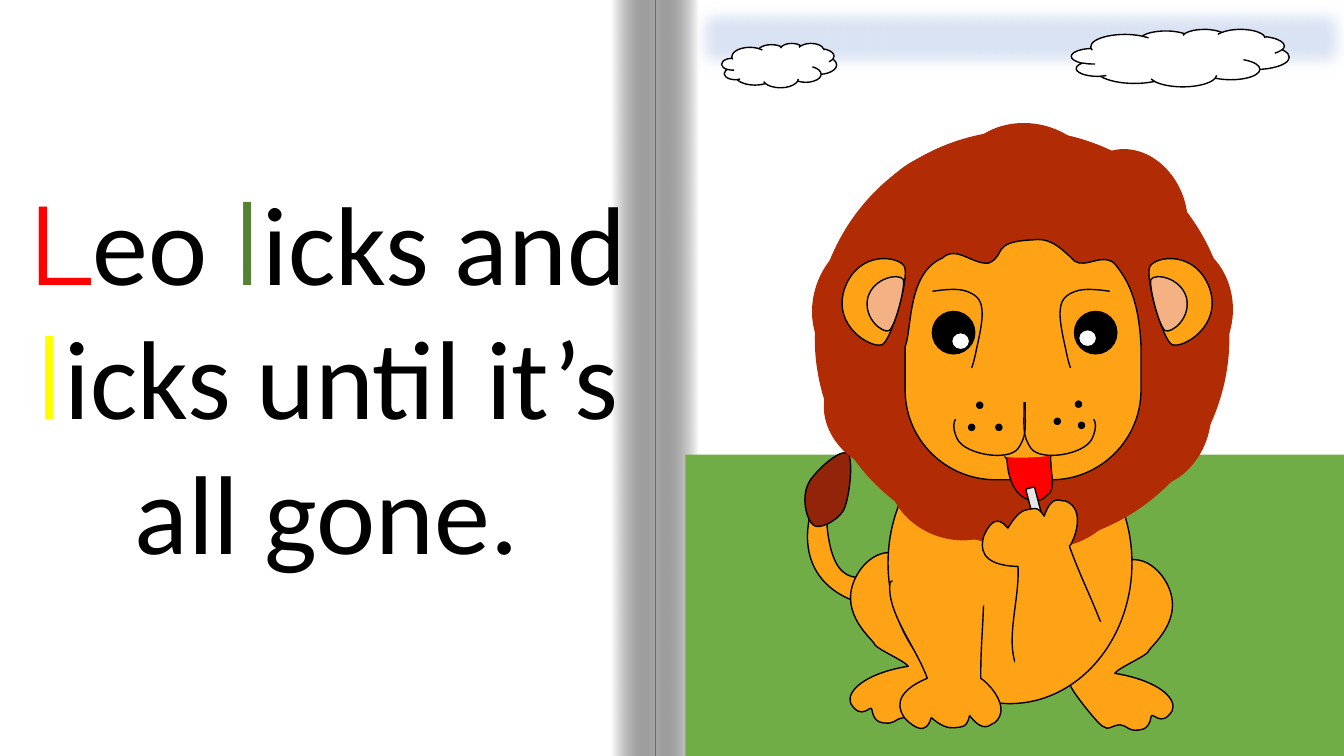
"""Build a storybook spread: a sentence on the left page, a lion licking a lollipop on the right."""
import lxml.etree
import pptx
import pptx.dml.color
import pptx.enum.shapes
import pptx.enum.text
import pptx.oxml.ns
import pptx.util

UNIT = pptx.util.Pt(0.72)
KINDS = pptx.enum.shapes.MSO_SHAPE
COLORS = {
    "white": "FFFFFF", "black": "000000", "red": "FF0000", "green": "548235",
    "yellow": "FFFF00", "sky": "DAE3F3", "grass": "70AD47", "fur": "FFA316",
    "mane": "B12C05", "tuft": "912409", "ear": "F4B183", "stick": "E7E6E6",
}
SENTENCE = [
    ("L", "Montserrat", "red"), ("eo ", "Calibri", "black"),
    ("l", "Montserrat", "green"), ("icks and ", "Calibri", "black"),
    ("l", "Montserrat", "yellow"), ("icks until it’s all gone.", "Calibri", "black"),
]
HAUNCH = [
    (1092, 580), (1092, 576, 1090, 572, 1094, 572), (1125, 538, 1149, 564, 1156, 576),
    (1177, 611, 1146, 637, 1140, 645), (1140, 650, 1110, 662, 1106, 668),
    (1149, 675, 1168, 693, 1163, 705), (1152, 723, 1143, 705, 1142, 711),
    (1141, 717, 1139, 721, 1135, 723), (1120, 728, 1118, 719, 1111, 719),
    (1102, 720, 1100, 725, 1095, 721), (1091, 721, 1062, 684, 1062, 680),
    (1062, 658, 1092, 602, 1092, 580)]
TAIL = [
    (854, 598), (840, 595, 791, 576, 803, 514), (820, 514), (825, 598, 863, 563, 870, 577),
    (871, 578, 863, 595, 862, 596), (854, 604), (853, 605, 855, 599, 854, 598)]
TUFT = [
    (837, 506), (843, 494, 847, 455, 841, 450), (836, 445, 816, 460, 804, 476),
    (793, 493, 801, 517, 807, 521), (812, 526, 831, 517, 837, 506)]
MANE = [
    (809, 130, 410, 410, 0), (881, 424, 133, 110, 19.4), (983, 431, 133, 110, 338.3),
    (1078, 363, 133, 110, 289.4), (1101, 252, 133, 110, 270), (1055, 159, 133, 110, 251.6),
    (816, 357, 133, 110, 25.6), (794, 247, 133, 105, 289.4), (856, 161, 133, 105, 311),
    (953, 123, 133, 105, 7.1)]
FACE = [
    (898, 344), (905, 326, 900, 271, 935, 256), (949, 243, 965, 263, 981, 261),
    (999, 253, 982, 240, 1024, 238), (1039, 236, 1048, 241, 1066, 259),
    (1077, 267, 1096, 249, 1107, 263), (1118, 277, 1130, 296, 1132, 344), (1132, 387),
    (1132, 436, 1092, 476, 1043, 476), (988, 476), (938, 476, 898, 436, 898, 387), (898, 344)]
BROW = [
    (1101, 289), (1088, 287, 1075, 286, 1067, 289), (1059, 292, 1053, 296, 1052, 306),
    (1050, 317, 1056, 340, 1058, 350), (1060, 360, 1062, 365, 1062, 365)]
WHISKERS = [(1070, 419), (1046, 415), (1067, 398), (988, 421), (961, 421), (969, 399)]
EYES = [(1066, 1070, 327), (925, 944, 330)]
OUTER_EAR = [
    (838, 286), (852, 248, 891, 254, 897, 264), (903, 273, 884, 339, 875, 342),
    (865, 346, 825, 324, 838, 286)]
INNER_EAR = [
    (861, 295), (867, 275, 892, 271, 896, 277), (899, 282, 888, 325, 882, 328),
    (876, 331, 856, 316, 861, 295)]
FRONT_LEG = [
    (976, 581), (976, 576, 960, 576, 955, 576), (924, 576), (919, 576, 883, 574, 883, 578),
    (879, 607, 909, 642, 920, 673), (884, 688, 892, 705, 898, 713),
    (920, 735, 923, 713, 924, 712), (933, 720, 941, 723, 947, 722),
    (954, 721, 959, 723, 962, 710), (977, 729, 982, 718, 987, 717),
    (1004, 702, 981, 678, 973, 673), (973, 633, 976, 621, 976, 581)]
TONGUE = [
    (999, 456), (991, 441, 978, 451, 1043, 447), (1040, 466, 1050, 486, 1038, 492),
    (1035, 499, 1002, 505, 999, 456)]
ARM = [
    (1096, 628), (1098, 632, 1083, 638, 1079, 639), (1049, 651),
    (1045, 652, 1012, 668, 1010, 664), (996, 638, 1012, 594, 1010, 562),
    (971, 561, 973, 542, 976, 532), (988, 504, 999, 524, 1000, 524),
    (1006, 514, 1012, 507, 1018, 506), (1025, 505, 1029, 501, 1036, 512),
    (1044, 489, 1052, 498, 1057, 497), (1078, 505, 1066, 536, 1061, 542),
    (1075, 580, 1082, 590, 1096, 628)]
LIP = [
    (1047, 449), (1046, 453, 1011, 454, 1002, 453), (992, 452, 991, 449, 990, 441),
    (989, 434, 994, 425, 1004, 426), (1013, 427, 1047, 445, 1047, 449)]
SMILE = [
    (1016, 399), (1016, 425, 1014, 432, 1023, 445), (1033, 458, 1075, 451, 1083, 436),
    (1090, 422, 1085, 416, 1085, 416)]
ELBOW = [
    (1102, 624), (1104, 628, 1076, 645, 1072, 647), (1045, 661),
    (1041, 663, 1012, 674, 1010, 670), (992, 646, 1046, 648, 1040, 616),
    (1057, 608, 1089, 612, 1102, 624)]
def rgb(name):
    return pptx.dml.color.RGBColor.from_string(COLORS[name])

def assign(target, values):
    for name, value in values.items():
        setattr(target, name, value)

def paint(shape, fill, line):
    shape.shadow.inherit = False
    for part, color in ((shape.fill, fill), (shape.line.fill, line)):
        if color:
            part.solid()
            part.fore_color.rgb = rgb(color)
        else:
            part.background()
    shape.line.width = pptx.util.Pt(1 if line else 0)

def add_preset(page, kind, bounds, fill, line="black", angle=0):
    shape = page.shapes.add_shape(kind, *(value * UNIT for value in bounds))
    shape.rotation = angle
    paint(shape, fill, line)
    return shape

def mirror(outline, total, drop=0):
    return [tuple(value + drop if index % 2 else total - value
                  for index, value in enumerate(piece)) for piece in outline]

def add_outline(page, outline, fill=None, line="black"):
    anchors = [(piece[-2] * UNIT, piece[-1] * UNIT) for piece in outline]
    builder = page.shapes.build_freeform(*anchors[0])
    builder.add_line_segments(anchors[1:], close=fill is not None)
    shape = builder.convert_to_shape()
    segments = list(shape._element.iter(pptx.oxml.ns.qn("a:lnTo")))
    for segment, piece in zip(segments, outline[1:]):
        if len(piece) == 6:
            segment.tag = pptx.oxml.ns.qn("a:cubicBezTo")
            for index in (0, 1):
                x, y = piece[2 * index:2 * index + 2]
                segment.insert(index, lxml.etree.Element(
                    pptx.oxml.ns.qn("a:pt"), x=str(x * UNIT - shape.left), y=str(y * UNIT - shape.top)))
    paint(shape, fill, line)

def add_fold(page, left, angle):
    shape = add_preset(page, KINDS.RECTANGLE, (left, 0, 43, 750), None, None)
    shape.fill.gradient()
    shape.fill.gradient_angle = angle
    for stop, name in zip(shape.fill.gradient_stops, ("white", "black")):
        stop.color.rgb = rgb(name)
    shade = list(shape._element.spPr.iter(pptx.oxml.ns.qn("a:srgbClr")))[-1]
    lxml.etree.SubElement(shade, pptx.oxml.ns.qn("a:alpha"), val="34000")

def add_sentence(page):
    box = page.shapes.add_textbox(*(value * UNIT for value in (-1, 167, 650, 414)))
    assign(box.text_frame, {"word_wrap": True, "auto_size": pptx.enum.text.MSO_AUTO_SIZE.SHAPE_TO_FIT_TEXT})
    para = box.text_frame.paragraphs[0]
    para.alignment = pptx.enum.text.PP_ALIGN.CENTER
    for text, font, color in SENTENCE:
        span = para.add_run()
        span.text = text
        assign(span.font, {"name": font, "size": pptx.util.Pt(80)})
        span.font.color.rgb = rgb(color)

def add_scenery(page):
    sky = add_preset(page, KINDS.RECTANGLE, (679, -5, 667, 85), "sky", "sky")
    effects = sky._element.spPr.find(pptx.oxml.ns.qn("a:effectLst"))
    lxml.etree.SubElement(effects, pptx.oxml.ns.qn("a:softEdge"), rad=str(int(pptx.util.Pt(12.5))))
    for bounds in ((716, 43, 114, 44), (1063, 29, 216, 57)):
        add_preset(page, KINDS.CLOUD, bounds, "white")
    add_preset(page, KINDS.RECTANGLE, (680, 451, 654, 299), "grass", None)

def add_lion(page):
    for outline, fill in ((HAUNCH, "fur"), (TAIL, "fur"), (TUFT, "tuft"), (mirror(HAUNCH, 2007, -7), "fur")):
        add_outline(page, outline, fill)
    add_preset(page, KINDS.OVAL, (881, 419, 242, 279), "fur")
    for *bounds, angle in MANE:
        add_preset(page, KINDS.OVAL, bounds, "mane", "mane", angle)
    add_outline(page, FACE, "fur")
    for brow in (BROW, mirror(BROW, 2026)):
        add_outline(page, brow)
    for left, top in WHISKERS:
        add_preset(page, KINDS.OVAL, (left, top, 6, 6), "black")
    for left, glint_left, glint_top in EYES:
        add_preset(page, KINDS.OVAL, (left, 309, 42, 42), "black")
        add_preset(page, KINDS.OVAL, (glint_left, glint_top, 18, 17), "white")
    for ear, fill in ((OUTER_EAR, "fur"), (INNER_EAR, "ear")):
        for outline in (ear, mirror(ear, 2038)):
            add_outline(page, outline, fill)
    add_outline(page, FRONT_LEG, "fur")
    add_preset(page, KINDS.OVAL, (886, 544, 97, 70), "fur", "fur", 7.3)
    add_outline(page, TONGUE, "red")
    add_preset(page, KINDS.ROUNDED_RECTANGLE, (1026, 483, 9, 68), "stick", angle=345.4)
    add_outline(page, ARM, "fur")
    add_outline(page, LIP, "fur", "fur")
    for smile in (mirror(SMILE, 2033), SMILE):
        add_outline(page, smile)
    add_outline(page, ELBOW, "fur", "fur")

def main():
    deck = pptx.Presentation()
    assign(deck, {"slide_width": pptx.util.Pt(960), "slide_height": pptx.util.Pt(540)})
    page = deck.slides.add_slide(deck.slide_layouts[6])
    add_preset(page, KINDS.RECTANGLE, (0, 0, 1334, 750), "white", None)
    for left, angle in ((650, 180), (607, 0)):
        add_fold(page, left, angle)
    add_sentence(page)
    add_scenery(page)
    add_lion(page)
    deck.save("out.pptx")

if __name__ == "__main__":
    main()
